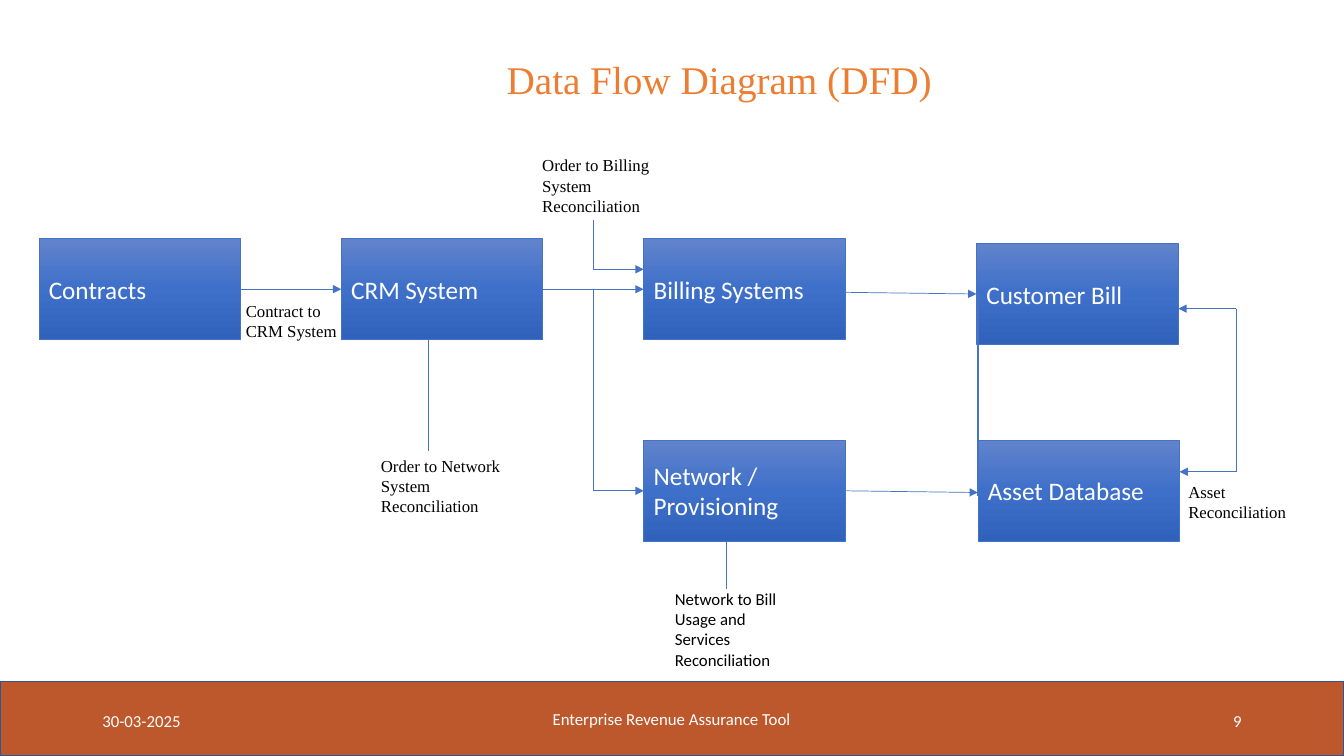
from copy import deepcopy

from pptx import Presentation
from pptx.dml.color import RGBColor
from pptx.enum.shapes import MSO_CONNECTOR as CONN, MSO_SHAPE as SHAPE
from pptx.enum.text import MSO_ANCHOR as ANCHOR, MSO_AUTO_SIZE as AUTO, PP_ALIGN as ALIGN
from pptx.oxml.ns import qn
from pptx.oxml.xmlchemy import OxmlElement
from pptx.util import Pt

WHITE = RGBColor(0xFF, 0xFF, 0xFF)
BLACK = RGBColor(0, 0, 0)
ORANGE = RGBColor(0xED, 0x7D, 0x31)
RUST = RGBColor(0xBD, 0x58, 0x2C)
NAVY = RGBColor(0x32, 0x54, 0x91)
BLUE = RGBColor(0x44, 0x72, 0xC4)
GRADIENT = [(0, RGBColor(0x61, 0x83, 0xCB)), (0.5, RGBColor(0x3E, 0x70, 0xCA)),
            (1, RGBColor(0x30, 0x62, 0xBB))]
SANS, SERIF = "Calibri", "Times New Roman"

# Content; lengths in points
WIDTH, HEIGHT = 960, 540
BAR_TOP = 486.7
BOX_W, BOX_H = 144, 72
TITLE = ("Data Flow Diagram (DFD)", (219.6, 36, 588.2, 41))

FOOTER = [  # text, place, alignment
    ("30-03-2025", (66, 500.5, 216, 28.75), ALIGN.LEFT),
    ("Enterprise Revenue Assurance Tool", (267, BAR_TOP, 425.5, 53.3), ALIGN.CENTER),
    ("9", (678, 500.5, 216, 28.75), ALIGN.RIGHT),
]
BOXES = [  # text, left, top
    ("Contracts", 27.8, 170.6),
    ("CRM System", 243.8, 170.6),
    ("Billing Systems", 459.8, 170.6),
    ("Network / Provisioning", 459.8, 314.6),
    ("Customer Bill", 697.5, 174),
    ("Asset Database", 698.5, 314.6),
]
LABELS = [  # text, place, font
    ("Network to Bill Usage and Services Reconciliation", (475, 417, 88.6, 65.5), SANS),
    ("Order to Network System Reconciliation", (265, 321.8, 105.8, 51), SERIF),
    ("Order to Billing System Reconciliation", (380.2, 107.3, 105.8, 51), SERIF),
    ("Contract to CRM System", (168.5, 211, 81.4, 36), SERIF),
    ("Asset Reconciliation", (841.7, 340.6, 99.4, 36), SERIF),
]
FLOWS = [  # points of each route, ends in an arrowhead
    ([(172, 206.6), (243.8, 206.6)], True),
    ([(387.8, 206.6), (459.8, 206.6)], True),
    ([(423.8, 157), (423.8, 192.4), (459.8, 192.4)], True),
    ([(423.8, 206.6), (423.8, 350.6), (459.8, 350.6)], True),
    ([(604, 208.8), (697.5, 210)], True),
    ([(604.5, 350.6), (698.5, 351.8)], True),
    ([(883, 220.5), (883, 337), (842.5, 337)], True),
    ([(883, 220.5), (841.7, 220.5)], True),
    ([(306, 242.6), (306, 321.8)], False),
    ([(519, 386.6), (519, 420.5)], False),
]
ASSET_LINK = [(698.5, 354), (698.5, 210)]


def write(sp, text, size, font, color, align=ALIGN.LEFT, **frame):
    tf = sp.text_frame
    for name, value in {"word_wrap": True, **frame}.items():
        setattr(tf, name, value)
    p = tf.paragraphs[0]
    p.alignment = align
    r = p.add_run()
    r.text = text
    for name, value in {"size": Pt(size), "name": font}.items():
        setattr(r.font, name, value)
    r.font.color.rgb = color
    return p


def add_rect(shapes, place, line_color, line_width):
    sp = shapes.add_shape(SHAPE.RECTANGLE, *map(Pt, place))
    sp.shadow.inherit = False
    sp.line.color.rgb = line_color
    sp.line.width = Pt(line_width)
    return sp


def fill_gradient(sp):
    sp.fill.gradient()
    sp.fill.gradient_angle = 270
    stops = sp._element.spPr.find(qn("a:gradFill")).find(qn("a:gsLst"))
    stops.append(deepcopy(stops[-1]))
    for stop, (position, color) in zip(sp.fill.gradient_stops, GRADIENT):
        stop.position = position
        stop.color.rgb = color


def connect(shapes, start, end, arrow=False, width=0.5, kind=CONN.STRAIGHT):
    line = shapes.add_connector(kind, *map(Pt, start + end))
    line.line.color.rgb = BLUE
    line.line.width = Pt(width)
    if arrow:
        head = OxmlElement("a:tailEnd")
        head.set("type", "triangle")
        line.line._get_or_add_ln().append(head)
    line._element.spPr.append(OxmlElement("a:effectLst"))


def main():
    prs = Presentation()
    prs.slide_width, prs.slide_height = Pt(WIDTH), Pt(HEIGHT)
    s = prs.slides.add_slide(prs.slide_layouts[5])
    shapes = s.shapes

    bar = add_rect(shapes, (0, BAR_TOP, WIDTH, HEIGHT - BAR_TOP), NAVY, 1)
    bar.fill.solid()
    bar.fill.fore_color.rgb = RUST
    for text, place, align in FOOTER:
        write(shapes.add_textbox(*map(Pt, place)), text, 12, SANS, WHITE, align,
              vertical_anchor=ANCHOR.MIDDLE)

    text, place = TITLE
    title = shapes.title
    for name, value in zip(("left", "top", "width", "height"), place):
        setattr(title, name, Pt(value))
    p = write(title, text, 28, SERIF, ORANGE, ALIGN.CENTER,
              vertical_anchor=ANCHOR.TOP, auto_size=AUTO.NONE)
    p.space_before = Pt(12)

    for text, left, top in BOXES:
        box = add_rect(shapes, (left, top, BOX_W, BOX_H), BLUE, 0.5)
        fill_gradient(box)
        write(box, text, 18, SANS, WHITE, vertical_anchor=ANCHOR.MIDDLE)

    connect(shapes, *ASSET_LINK, width=1, kind=CONN.ELBOW)
    for text, place, font in LABELS:
        write(shapes.add_textbox(*map(Pt, place)), text, 12, font, BLACK,
              auto_size=AUTO.SHAPE_TO_FIT_TEXT)
    for route, arrow in FLOWS:
        for start, end in zip(route, route[1:]):
            connect(shapes, start, end, arrow and end == route[-1])

    prs.save("out.pptx")


if __name__ == "__main__":
    main()
